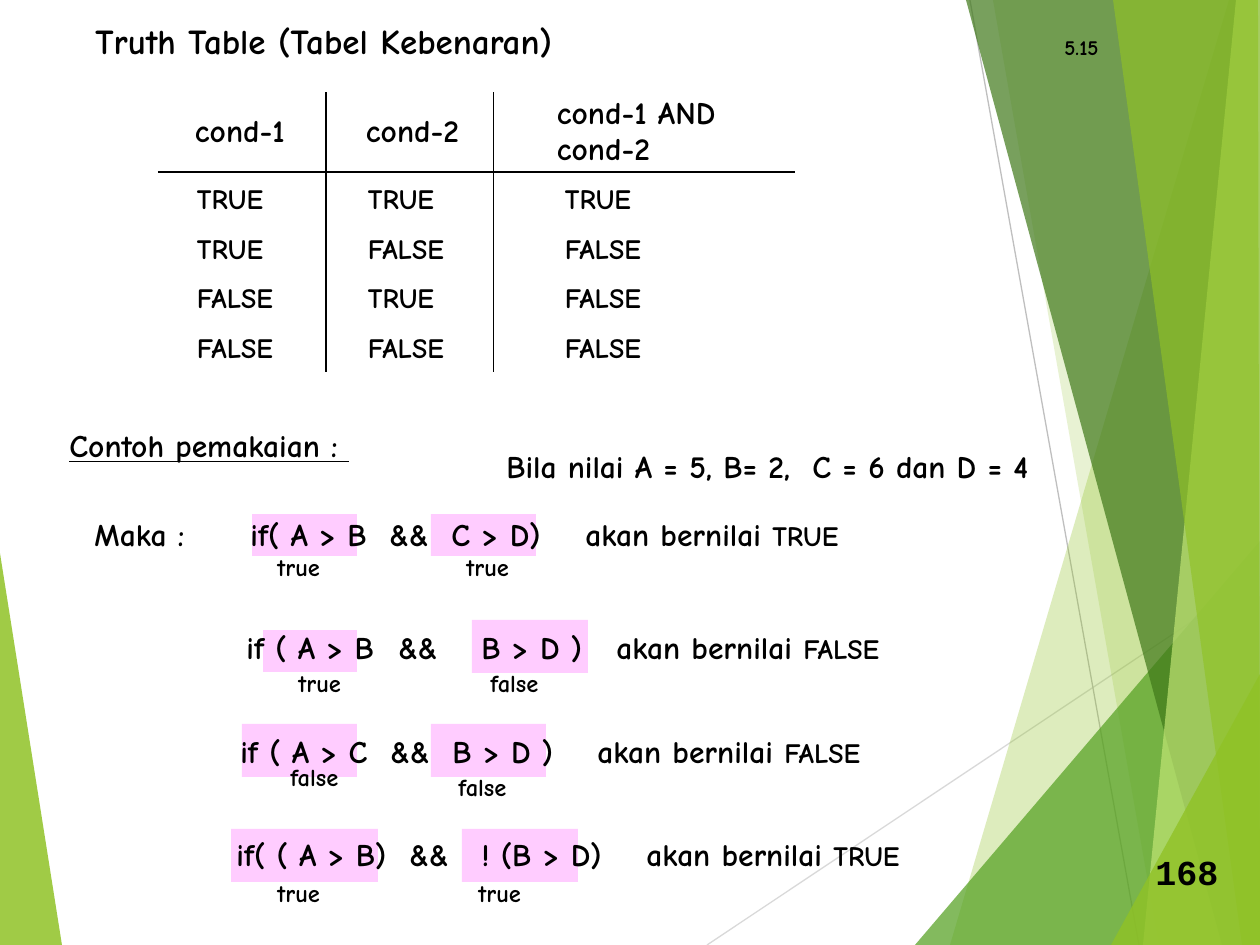
from lxml.etree import SubElement
from pptx import Presentation
from pptx.dml.color import RGBColor
from pptx.enum.shapes import MSO_CONNECTOR, MSO_SHAPE
from pptx.enum.text import MSO_ANCHOR
from pptx.oxml.ns import qn
from pptx.util import Pt

PX = 914400 / 126
WIDTH, HEIGHT = 1260, 945

BLACK = RGBColor(0x00, 0x00, 0x00)
PINK = RGBColor(0xFF, 0xCC, 0xFF)
LIME = RGBColor(0x90, 0xC2, 0x26)
GREEN = RGBColor(0x54, 0xA0, 0x21)
FOREST = RGBColor(0x3F, 0x78, 0x19)
PALE_LIME = RGBColor(0xC0, 0xE4, 0x74)
LIGHT_GREY = RGBColor(0xD9, 0xD9, 0xD9)
GREY = RGBColor(0xBF, 0xBF, 0xBF)
BODY_FONT = "Comic Neue"

# Outline, colour and opacity in percent, from back to front
LEFT_FACET = ([(0, 553), (62, 945), (0, 945)], LIME, 85)
RIGHT_FACETS = [
    ([(1229, 0), (950, 945), (1260, 945), (1260, 0)], LIME, 30),
    ([(993, 0), (1159, 945), (1260, 945), (1260, 0)], LIME, 20),
    ([(915, 945), (1260, 541), (1260, 945)], GREEN, 72),
    ([(966, 0), (1222, 945), (1260, 945), (1260, 0)], FOREST, 70),
    ([(1236, 0), (1143, 945), (1260, 945), (1260, 0)], PALE_LIME, 70),
    ([(1113, 0), (1242, 945), (1260, 945), (1258, 0)], LIME, 65),
    ([(1111, 945), (1260, 674), (1260, 945)], LIME, 80),
]

TRUTH_ROWS = [
    ("cond-1", "cond-2", "cond-1 AND\ncond-2"),
    ("TRUE", "TRUE", "TRUE"),
    ("TRUE", "FALSE", "FALSE"),
    ("FALSE", "TRUE", "FALSE"),
    ("FALSE", "FALSE", "FALSE"),
]

# Box, expression, result, tab stops, highlights, verdicts; all relative to the box
EXAMPLES = [
    ((238, 509, 620), "if( A > B\t&&\tC > D)\takan bernilai ", "TRUE", (139, 201, 335),
     [(14, 5, 105, 42), (193, 5, 105, 42)], [(27, 37, "true"), (216, 37, "true")]),
    ((234, 622, 666), "if ( A > B\t&&\tB > D )\takan bernilai ", "FALSE", (152, 235, 370),
     [(29, 8, 94, 42), (238, -2, 116, 53)], [(52, 40, "true"), (244, 40, "false")]),
    ((228, 726, 656), "if ( A > C\t&&\tB > D )\takan bernilai ", "FALSE", (150, 212, 357),
     [(14, -2, 115, 53), (203, -2, 115, 53)], [(50, 30, "false"), (218, 40, "false")]),
    ((224, 829, 698), "if( ( A > B)\t&&\t! (B > D)\takan bernilai ", "TRUE", (173, 245, 410),
     [(7, 0, 147, 53), (238, 0, 116, 53)], [(41, 43, "true"), (242, 43, "true")]),
]


def px(length):
    return round(length * PX)


def style(paragraph, size, font_name=BODY_FONT, underline=None):
    font = paragraph.font
    font.name, font.size, font.bold = font_name, Pt(size), True
    font.underline = underline
    font.color.rgb = BLACK


def add_text(slide, left, top, width, height, text, size, tabs=(), **look):
    """Add a one-paragraph text box and return its paragraph."""
    box = slide.shapes.add_textbox(px(left), px(top), px(width), px(height))
    box.text_frame.word_wrap = True
    paragraph = box.text_frame.paragraphs[0]
    paragraph.add_run().text = text
    if tabs:
        tab_list = SubElement(paragraph._p.get_or_add_pPr(), qn("a:tabLst"))
        for stop in tabs:
            SubElement(tab_list, qn("a:tab"), pos=str(px(stop)), algn="l")
    style(paragraph, size, **look)
    return paragraph


def add_facet(slide, points, color, opacity):
    builder = slide.shapes.build_freeform(*points[0], scale=PX)
    builder.add_line_segments(points[1:], close=True)
    facet = builder.convert_to_shape()
    facet.shadow.inherit = False
    facet.fill.solid()
    facet.fill.fore_color.rgb = color
    facet.line.fill.background()
    tint = facet.fill._xPr.find(qn("a:solidFill"))[0]
    SubElement(tint, qn("a:alpha"), val=str(opacity * 1000))


def add_decor(slide, width, height):
    add_facet(slide, *LEFT_FACET)
    for start, end, color in [
        ((707, height), (width, 576), LIGHT_GREY),
        ((970, 0), (1139, height), GREY),
    ]:
        ray = slide.shapes.add_connector(
            MSO_CONNECTOR.STRAIGHT, *map(px, start), *map(px, end))
        ray.line.color.rgb = color
        ray.line.width = Pt(0.75)
        SubElement(ray._element.spPr, qn("a:effectLst"))
    for facet in RIGHT_FACETS:
        add_facet(slide, *facet)


def set_borders(cell, ruled_sides):
    properties = cell._tc.get_or_add_tcPr()
    for side in ("lnL", "lnR", "lnT", "lnB"):
        border = SubElement(properties, qn(f"a:{side}"), w=str(Pt(0.75)))
        if side in ruled_sides:
            fill = SubElement(border, qn("a:solidFill"))
            SubElement(fill, qn("a:srgbClr"), val=str(BLACK))
        else:
            SubElement(border, qn("a:noFill"))


def add_truth_table(slide, left, top):
    column_widths, header_height, row_height = (168, 168, 301), 80, 50
    header_indents, value_indents = (37, 40, 63), (39, 42, 71)
    last_column = len(column_widths) - 1
    height = header_height + row_height * (len(TRUTH_ROWS) - 1)
    table = slide.shapes.add_table(
        len(TRUTH_ROWS), len(column_widths),
        px(left), px(top), px(sum(column_widths)), px(height)).table
    table.first_row = table.horz_banding = False
    for column, width in zip(table.columns, column_widths):
        column.width = px(width)
    for r, values in enumerate(TRUTH_ROWS):
        table.rows[r].height = px(row_height if r else header_height)
        for c, value in enumerate(values):
            cell = table.cell(r, c)
            sides = {"lnL"} if c else set()
            if c < last_column:
                sides.add("lnR")
            if r < 2:
                sides.add("lnT" if r else "lnB")
            set_borders(cell, sides)
            cell.fill.background()
            cell.vertical_anchor = MSO_ANCHOR.MIDDLE
            cell.margin_left = px((value_indents if r else header_indents)[c])
            cell.margin_top = px(6 if r else 0)
            cell.margin_right = cell.margin_bottom = 0
            cell.text = value
            for paragraph in cell.text_frame.paragraphs:
                style(paragraph, 16 if r else 18)


def add_example(slide, box, expression, result, tabs, highlights, verdicts):
    """Place a condition over its pink highlights, with a verdict below each."""
    left, top, width = box
    for dx, dy, w, h in highlights:
        highlight = slide.shapes.add_shape(
            MSO_SHAPE.RECTANGLE, px(left + dx), px(top + dy), px(w), px(h))
        highlight.shadow.inherit = False
        highlight.fill.solid()
        highlight.fill.fore_color.rgb = PINK
        highlight.line.fill.background()
    paragraph = add_text(slide, left, top, width, 50, expression, 18, tabs)
    outcome = paragraph.add_run()
    outcome.text = result
    outcome.font.size = Pt(16)
    for dx, dy, verdict in verdicts:
        add_text(slide, left + dx, top + dy, 78, 43, verdict, 14)


def main():
    deck = Presentation()
    deck.slide_width, deck.slide_height = px(WIDTH), px(HEIGHT)
    slide = deck.slides.add_slide(deck.slide_layouts[6])
    add_decor(slide, WIDTH, HEIGHT)
    add_text(slide, 83, 13, 495, 55, "Truth Table (Tabel Kebenaran)", 20)
    add_text(slide, 1052, 28, 64, 38, "5.15", 12)
    add_truth_table(slide, 158, 92)
    add_text(slide, 57, 420, 312, 50, "Contoh pemakaian : ", 18, underline=True)
    add_text(slide, 494, 441, 555, 50,
             "Bila nilai A = 5, B= 2,\tC = 6 dan D = 4", 18, tabs=(306,))
    add_text(slide, 82, 509, 122, 50, "Maka :", 18)
    for example in EXAMPLES:
        add_example(slide, *example)
    add_text(slide, 1143, 844, 94, 55, "168", 20, font_name="Courier New")
    deck.save("out.pptx")


if __name__ == "__main__":
    main()
